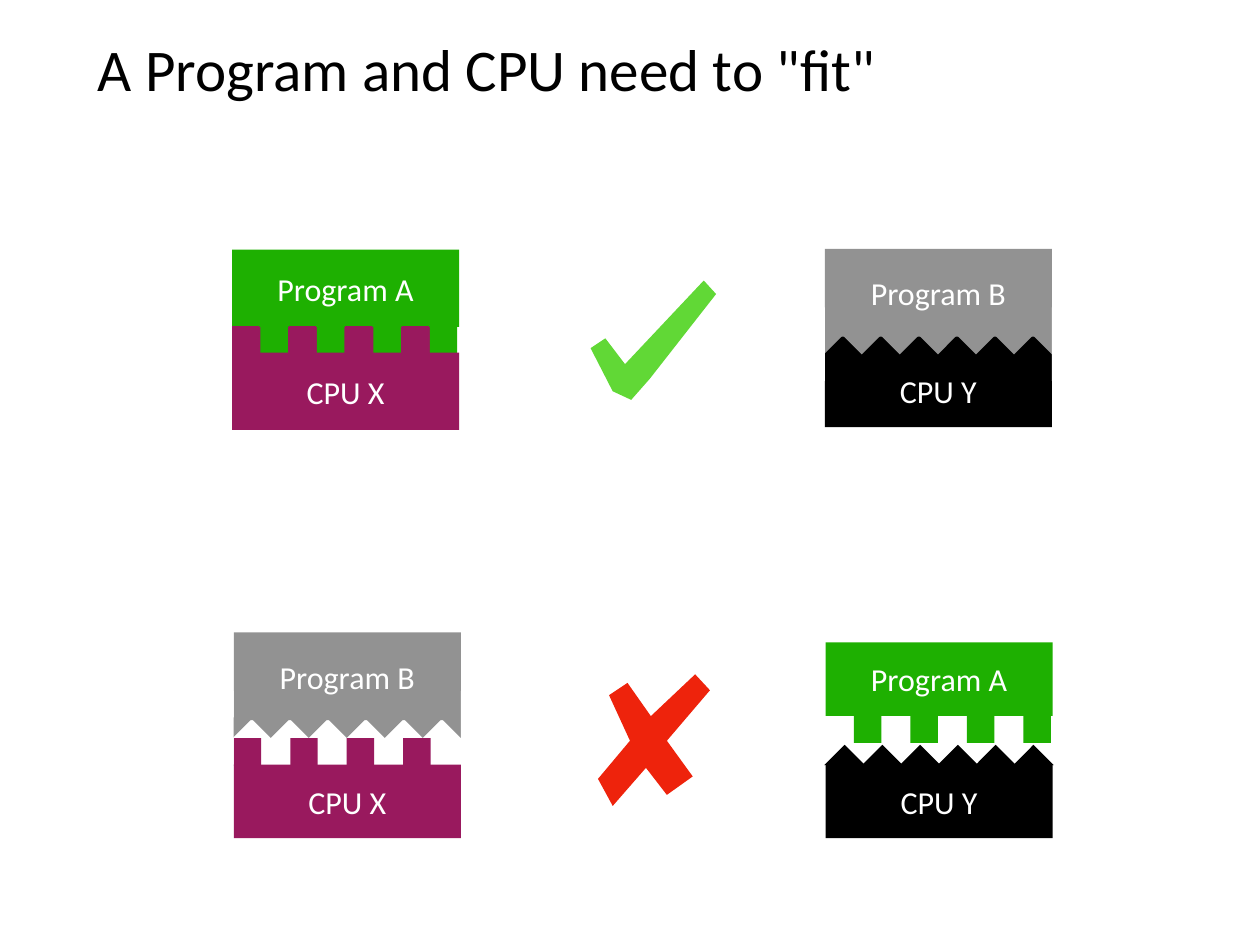
from collections import namedtuple
from pptx import Presentation
from pptx.util import Pt
from pptx.dml.color import RGBColor as RGB
from pptx.enum.shapes import MSO_SHAPE as Kind
from pptx.enum.text import PP_ALIGN as Align, MSO_ANCHOR as Anchor

HEX = {"black": "000000", "white": "FFFFFF", "gray": "929292", "plum": "99195E",
       "green": "1EB001", "lime": "61D836", "red": "EE230C"}
FRAME = {"margin_left": Pt(4.3), "margin_right": Pt(4.3), "margin_top": Pt(4.3),
         "margin_bottom": Pt(4.3), "vertical_anchor": Anchor.MIDDLE, "word_wrap": True}
RECT, PEAK = Kind.RECTANGLE, Kind.ISOSCELES_TRIANGLE
WIDE = 184.5           # width of every block
NOTCH = 22.3           # side of a square tooth
BASE = 33.2            # base of a pointed tooth, twice its height
TRIM = 22.5            # width of the white side covers

deck = Presentation()
deck.slide_width, deck.slide_height = Pt(1024), Pt(768)
slide = deck.slides.add_slide(deck.slide_layouts[5])
shapes = slide.shapes


def paint(shape, hue):
    shape.shadow.inherit = False
    shape.fill.solid()
    shape.fill.fore_color.rgb = RGB.from_string(HEX[hue])
    shape.line.fill.background()
    return shape


def write(shape, text, size, hue, align):
    frame = shape.text_frame
    for key, value in FRAME.items():
        setattr(frame, key, value)
    frame.text = text
    para = frame.paragraphs[0]
    para.alignment = align
    font = para.runs[0].font
    for key, value in {"name": "Calibri", "size": Pt(size), "bold": False}.items():
        setattr(font, key, value)
    font.color.rgb = RGB.from_string(HEX[hue])


# Title
title = shapes.title
for key, value in {"left": 75, "top": 20, "width": 874, "height": 71}.items():
    setattr(title, key, Pt(value))
write(title, 'A Program and CPU need to "fit"', 48, "black", Align.LEFT)

# Each part has one row of teeth: programs point down, CPUs point up.
# start: first tooth from the block's left; lap: how far teeth reach into the block
Part = namedtuple("Part", "hue kind across tall count step start lap down")
parts = {
    "Program A": Part("green", RECT, NOTCH, NOTCH, 4, 45.9, 23, 0.4, True),
    "CPU X": Part("plum", RECT, NOTCH, NOTCH, 4, 45.9, 0, 0.8, False),
    "Program B": Part("gray", PEAK, BASE, BASE / 2, 7, 30.9, -17.5, 2.2, True),
    "CPU Y": Part("black", PEAK, BASE, BASE / 2, 6, 30.7, -1.2, 0.5, False),
}

# Plum strip closes the hairline gaps where A and X interlock
paint(shapes.add_shape(RECT, Pt(188.6), Pt(265.7), Pt(169), Pt(NOTCH)), "plum")

# Blocks from back to front: name, left, top, height
blocks = [
    # Matching pairs
    ("CPU Y", 670.4, 287.3, 59.8),
    ("Program B", 670.4, 202.3, 71.3),
    ("Program A", 188.6, 203, 62.7),
    ("CPU X", 188.6, 286.6, 62.7),
    # Mismatched pairs
    ("CPU X", 190, 621.4, 59.8),
    ("Program B", 190, 514, 71.3),
    ("Program A", 671, 522, 59.8),
    ("CPU Y", 671, 621.4, 59.8),
]
for name, left, top, high in blocks:
    part = parts[name]
    edge = top + high - part.lap if part.down else top + part.lap - part.tall
    for i in range(part.count):
        spot = left + part.start + i * part.step
        tooth = paint(shapes.add_shape(part.kind, Pt(spot), Pt(edge),
                                       Pt(part.across), Pt(part.tall)), part.hue)
        tooth.rotation = 180 if part.down else 0
    block = paint(shapes.add_shape(RECT, Pt(left), Pt(top), Pt(WIDE), Pt(high)), part.hue)
    write(block, name, 26, "white", Align.CENTER)
    # White covers trim the outer teeth of Program B
    if name == "Program B":
        for side in (left - TRIM, left + WIDE):
            paint(shapes.add_shape(RECT, Pt(side), Pt(top + 47.5), Pt(TRIM), Pt(59.8)),
                  "white")

# Marks: corners in points, measured from each mark's top left
Mark = namedtuple("Mark", "hue left top dots")
check = Mark("lime", 480, 228, [(92, 0), (28, 68), (12, 47), (0, 55), (18, 90),
                                (33, 97), (48, 80), (102, 11)])
cross = Mark("red", 486, 548, [(79, 0), (43, 34), (24, 7), (9, 17), (26, 54), (0, 85),
                               (12, 107), (39, 76), (56, 98), (77, 83), (56, 54), (91, 13)])
for mark in (check, cross):
    pen = shapes.build_freeform(*mark.dots[0], scale=Pt(1))
    pen.add_line_segments(mark.dots[1:], close=True)
    paint(pen.convert_to_shape(Pt(mark.left), Pt(mark.top)), mark.hue)

deck.save("out.pptx")
